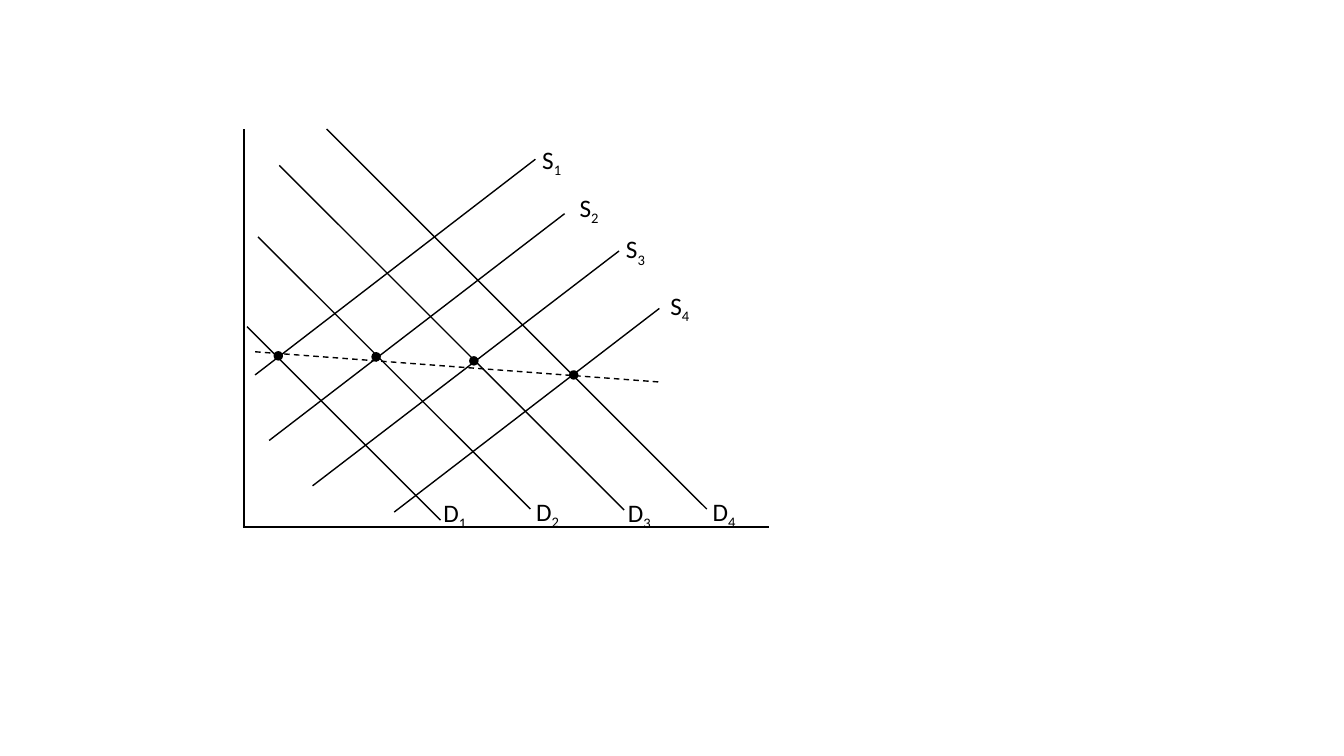
from dataclasses import dataclass

from pptx import Presentation
from pptx.dml.color import RGBColor
from pptx.enum.dml import MSO_LINE
from pptx.enum.shapes import MSO_CONNECTOR, MSO_SHAPE
from pptx.enum.text import MSO_AUTO_SIZE
from pptx.oxml.ns import qn
from pptx.slide import Slide
from pptx.util import Inches, Pt
from lxml.etree import SubElement

COLOURS = {"ink": "000000", "paper": "FFFFFF"}
FONT = "Calibri"
DOT_SIZE = 0.08
LABEL_HEIGHT = 0.4


@dataclass(frozen=True)
class Segment:
    start: tuple[float, float]
    end: tuple[float, float]
    dashed: bool = False


@dataclass(frozen=True)
class Label:
    letter: str
    number: int
    left: float
    top: float
    width: float


AXES = [
    Segment((2.42, 1.28), (2.42, 5.22)),
    Segment((2.41, 5.23), (7.63, 5.23)),
]
DEMAND = [
    Segment((2.45, 3.24), (4.37, 5.16)),
    Segment((2.56, 2.35), (5.26, 5.05)),
    Segment((2.77, 1.64), (6.19, 5.06)),
    Segment((3.24, 1.28), (7.01, 5.05)),
]
SUPPLY = [
    Segment((2.53, 3.72), (5.31, 1.58)),
    Segment((2.67, 4.37), (5.6, 2.12)),
    Segment((3.1, 4.82), (6.14, 2.49)),
    Segment((3.91, 5.08), (6.54, 3.06)),
]
PRICE_TREND = Segment((2.53, 3.49), (6.54, 3.79), dashed=True)

DEMAND_LABELS = [(4.3, 4.88), (5.22, 4.87), (6.13, 4.88), (6.97, 4.87)]
SUPPLY_LABELS = [(5.28, 1.38), (5.65, 1.86), (6.11, 2.27), (6.55, 2.83)]
LABELS = [
    Label(letter, number, left, top, width)
    for letter, width, places in (("D", 0.44, DEMAND_LABELS), ("S", 0.4, SUPPLY_LABELS))
    for number, (left, top) in enumerate(places, start=1)
]
EQUILIBRIA = [(2.72, 3.49), (3.69, 3.5), (4.66, 3.54), (5.65, 3.68)]


def colour(name: str) -> RGBColor:
    return RGBColor.from_string(COLOURS[name])


def draw_segment(page: Slide, segment: Segment) -> None:
    ends = [Inches(value) for value in (*segment.start, *segment.end)]
    connector = page.shapes.add_connector(MSO_CONNECTOR.STRAIGHT, *ends)
    connector.line.color.rgb = colour("ink")
    connector.line.width = Pt(1)
    if segment.dashed:
        connector.line.dash_style = MSO_LINE.DASH
    SubElement(connector._element.spPr, qn("a:effectLst"))


def draw_label(page: Slide, label: Label) -> None:
    box = page.shapes.add_textbox(
        Inches(label.left), Inches(label.top), Inches(label.width), Inches(LABEL_HEIGHT)
    )
    frame = box.text_frame
    frame.word_wrap = False
    frame.auto_size = MSO_AUTO_SIZE.SHAPE_TO_FIT_TEXT
    para = frame.paragraphs[0]
    for text, subscript in ((label.letter, False), (str(label.number), True)):
        span = para.add_run()
        span.text = text
        span.font.name = FONT
        span.font.size = Pt(18)
        span.font.color.rgb = colour("ink")
        if subscript:
            span._r.get_or_add_rPr().set("baseline", "-25000")


def draw_dot(page: Slide, left: float, top: float) -> None:
    dot = page.shapes.add_shape(
        MSO_SHAPE.OVAL, Inches(left), Inches(top), Inches(DOT_SIZE), Inches(DOT_SIZE)
    )
    dot.shadow.inherit = False
    dot.fill.solid()
    dot.fill.fore_color.rgb = colour("ink")
    dot.line.color.rgb = colour("ink")
    dot.line.width = Pt(1)


def main() -> None:
    deck = Presentation()
    deck.slide_width = Inches(13.33)
    deck.slide_height = Inches(7.5)
    page = deck.slides.add_slide(deck.slide_layouts[6])
    page.background.fill.solid()
    page.background.fill.fore_color.rgb = colour("paper")

    # Axes and curves
    for segment in AXES + DEMAND + SUPPLY:
        draw_segment(page, segment)

    # Curve names
    for label in LABELS:
        draw_label(page, label)

    # Equilibrium points and the trend through them
    for left, top in EQUILIBRIA:
        draw_dot(page, left, top)
    draw_segment(page, PRICE_TREND)

    deck.save("out.pptx")


if __name__ == "__main__":
    main()
